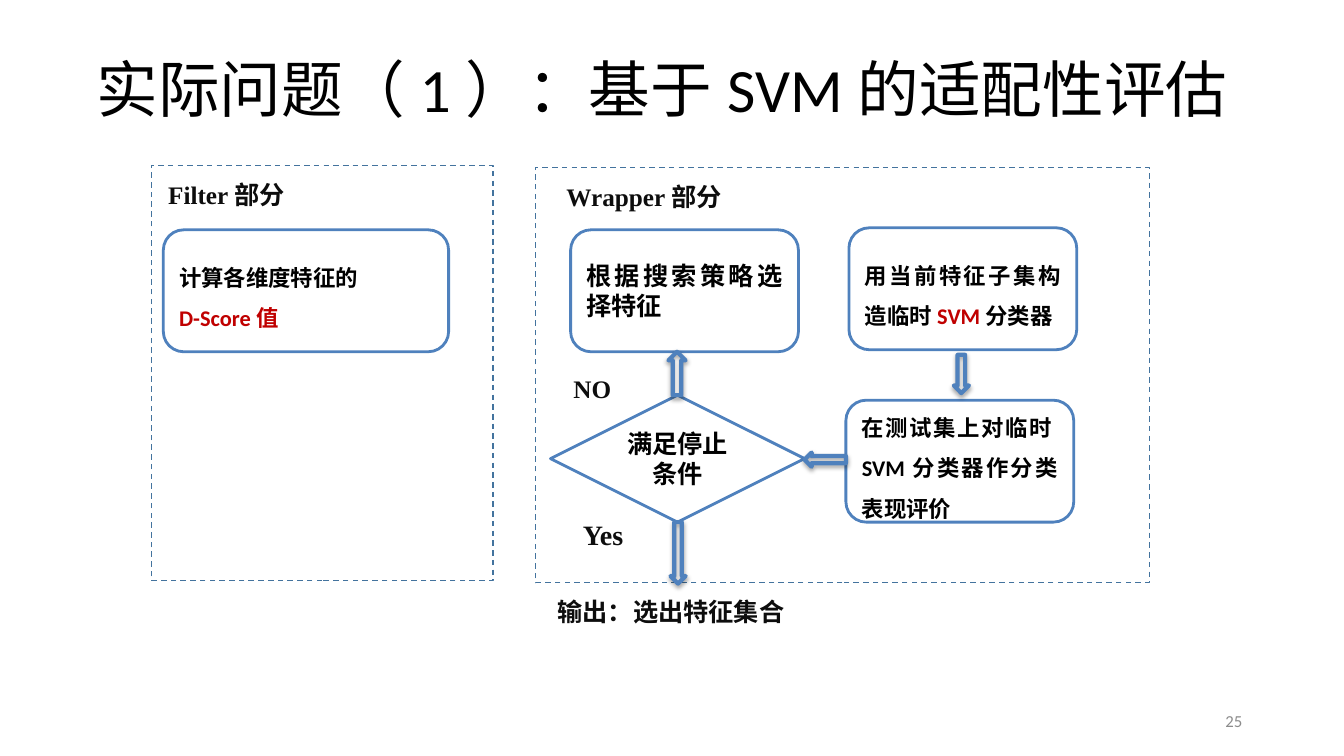
from lxml import etree
from pptx import Presentation
from pptx.dml.color import RGBColor
from pptx.enum.dml import MSO_LINE
from pptx.enum.shapes import MSO_SHAPE as Form
from pptx.enum.text import MSO_ANCHOR as Anchor, PP_ALIGN as Align
from pptx.oxml import parse_xml
from pptx.oxml.ns import qn
from pptx.util import Inches, Pt

SHADOW = (
    '<a:effectLst xmlns:a="http://schemas.openxmlformats.org/drawingml/2006/main">'
    '<a:outerShdw blurRad="39370" dist="22860" dir="5400000" rotWithShape="0">'
    '<a:srgbClr val="000000"><a:alpha val="35000"/></a:srgbClr>'
    '</a:outerShdw></a:effectLst>'
)


def color(code):
    return RGBColor.from_string(code)


class Board:
    body, serif = "Calibri", "Times New Roman"
    black, ink, red, grey = "000000", "0D0D0D", "C00000", "8C8C8C"
    white, blue, edge = "FFFFFF", "4F81BD", "43739E"

    def __init__(self, slide):
        self.shapes = slide.shapes

    def put(self, frame, lines, size, font=body, tint=black, bold=True,
            align=Align.JUSTIFY, space=None, anchor=Anchor.MIDDLE):
        """Fill a frame; each line is a list of texts or (text, colour) pairs."""
        frame.word_wrap = True
        frame.vertical_anchor = anchor
        for i, line in enumerate(lines):
            para = frame.add_paragraph() if i else frame.paragraphs[0]
            para.alignment = align
            para.line_spacing = space
            for part in line:
                text, shade = (part, tint) if isinstance(part, str) else part
                run = para.add_run()
                run.text = text
                run.font.name, run.font.size = font, Pt(size)
                run.font.bold = bold
                run.font.color.rgb = color(shade)

    def text(self, at, words, size, **style):
        box = self.shapes.add_textbox(*map(Inches, at))
        self.put(box.text_frame, [[words]], size, **style)
        return box

    def label(self, at, words, size=18, align=Align.JUSTIFY):
        box = self.text(at, words, size, font=self.serif, tint=self.ink,
                        align=align, space=Pt(18), anchor=Anchor.TOP)
        props = box.text_frame.paragraphs[0]._p.get_or_add_pPr()
        props.set("indent", str(Inches(0.43)))

    def shape(self, form, at, line, width, fill=None):
        item = self.shapes.add_shape(form, *map(Inches, at))
        item.shadow.inherit = False
        if fill:
            item.fill.solid()
            item.fill.fore_color.rgb = color(fill)
        else:
            item.fill.background()
        item.line.color.rgb = color(line)
        item.line.width = Pt(width)
        return item

    def step(self, at, lines, size, form=Form.ROUNDED_RECTANGLE, **style):
        item = self.shape(form, at, self.blue, 2, self.white)
        self.put(item.text_frame, lines, size, **style)

    def panel(self, at):
        item = self.shape(Form.RECTANGLE, at, self.edge, 1)
        item.line.dash_style = MSO_LINE.DASH

    def arrow(self, form, at):
        item = self.shape(form, at, self.blue, 3)
        props = item._element.spPr
        props.replace(props.find(qn("a:effectLst")), parse_xml(SHADOW))
        etree.SubElement(props.find(qn("a:ln")), qn("a:tailEnd"), type="arrow")


def main():
    deck = Presentation()
    deck.slide_width, deck.slide_height = Inches(13.33), Inches(7.5)
    board = Board(deck.slides.add_slide(deck.slide_layouts[6]))

    board.text((0.86, 0.19, 11.5, 1.45), "实际问题（1）：基于SVM的适配性评估", 44,
               bold=False, align=Align.LEFT, space=0.9)
    board.text((9.42, 6.95, 3, 0.4), "25", 12, tint=board.grey,
               bold=False, align=Align.RIGHT)

    board.label((1.14, 1.78, 2.17, 0.49), "Filter部分")
    board.step((1.62, 2.28, 2.83, 1.21),
               [["计算各维度特征的"], [("D-Score值", board.red)]], 16, space=1.5)
    board.step((5.66, 2.28, 2.26, 1.21), [["根据搜索策略选择特征"]], 18)
    board.step((8.42, 2.26, 2.26, 1.21),
               [["用当前特征子集构造临时", ("SVM", board.red), "分类器"]], 16, space=1.5)
    board.step((8.39, 3.97, 2.26, 1.21),
               [["在测试集上对临时SVM分类器作分类表现评价"]], 16, space=1.5)
    board.step((5.46, 3.92, 2.52, 1.26), [["满足停止条件"]], 18,
               form=Form.FLOWCHART_DECISION, align=Align.CENTER)

    board.label((5.09, 1.8, 3.26, 0.5), "Wrapper部分")
    board.label((5, 5.92, 3.62, 0.5), "输出：选出特征集合")
    board.label((5.16, 3.7, 1.76, 0.5), "NO")
    board.label((4.5, 5.17, 1.78, 0.5), "Yes", 20, Align.RIGHT)

    board.panel((1.5, 1.64, 3.39, 4.12))
    board.panel((5.31, 1.66, 6.09, 4.12))

    board.arrow(Form.LEFT_ARROW, (7.98, 4.49, 0.41, 0.14))
    board.arrow(Form.DOWN_ARROW, (9.46, 3.52, 0.15, 0.38))
    board.arrow(Form.DOWN_ARROW, (6.65, 5.18, 0.15, 0.61))
    board.arrow(Form.UP_ARROW, (6.63, 3.49, 0.17, 0.43))

    deck.save("out.pptx")


if __name__ == "__main__":
    main()
